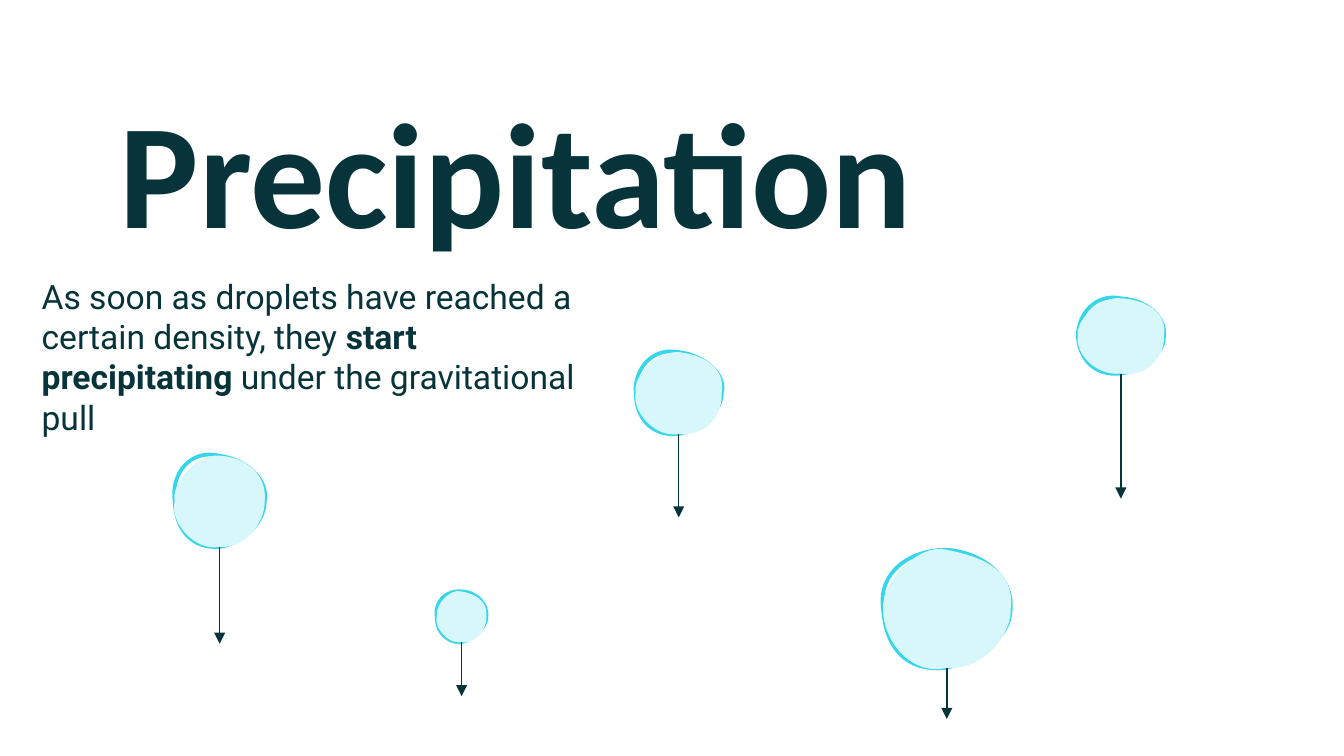
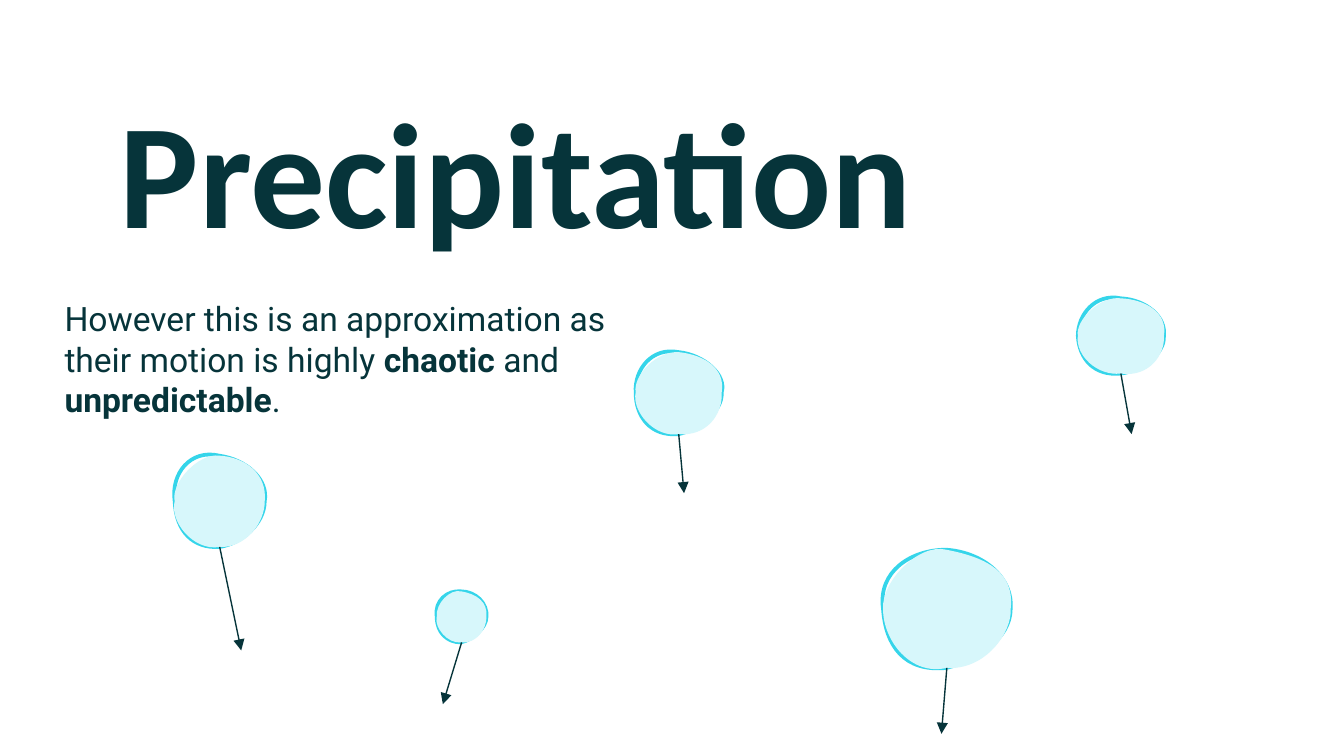
from lxml.etree import SubElement as Sub
from pptx import Presentation
from pptx.dml.color import RGBColor as Rgb
from pptx.enum.shapes import MSO_CONNECTOR as Link
from pptx.enum.text import MSO_ANCHOR as Anchor, MSO_AUTO_SIZE as Fit, PP_ALIGN as Align
from pptx.oxml.ns import qn
from pptx.util import Inches, Pt

HUES = {"ink": "06343A", "rim": "35D5EA", "water": "D7F7FB"}
TITLE = "Precipitation"
HEAD = {"name": "Calibri", "size": Pt(80), "bold": True}
PLAIN = {"name": "Roboto", "size": Pt(18), "bold": False}
STRONG = {**PLAIN, "bold": True}
FRAME = {"word_wrap": True, "auto_size": Fit.NONE, "vertical_anchor": Anchor.TOP,
         **{f"margin_{side}": Inches(0.1) for side in ("left", "right", "top", "bottom")}}
PARA = {"alignment": Align.LEFT, "line_spacing": 1.0, "space_before": Pt(0), "space_after": Pt(0)}

WIDE = Inches(10)
HIGH = WIDE * 9 // 16
GRID = WIDE // 1000
HEAD_BOX = (79, 49, 843, 63)

DROPS = [
    {"box": (130, 339, 67, 68),
     "rim": (-3, 13, 12, -5, 54, 3, 70, 18, 67, 51, 49, 66, 14, 69, 1, 57),
     "water": (-3, 20, 18, -2, 52, 1, 69, 13, 67, 50, 53, 69, 14, 71, -4, 49)},
    {"box": (325, 440, 37, 38),
     "rim": (-2, 7, 8, -1, 29, 0, 38, 9, 37, 27, 27, 36, 8, 38, 0, 31),
     "water": (-1, 9, 10, -2, 30, 2, 38, 8, 37, 28, 30, 39, 8, 39, -2, 27)},
    {"box": (473, 262, 64, 61),
     "rim": (-1, 13, 12, -4, 51, 2, 68, 17, 65, 44, 47, 58, 11, 63, 0, 48),
     "water": (-2, 17, 16, -1, 51, 2, 67, 12, 65, 46, 53, 63, 14, 64, -3, 44)},
    {"box": (657, 409, 95, 88),
     "rim": (-4, 16, 21, 0, 75, 2, 97, 21, 95, 67, 68, 83, 16, 91, 2, 72),
     "water": (-1, 23, 27, -5, 78, 6, 98, 17, 96, 62, 76, 90, 21, 94, 0, 68)},
    {"box": (802, 222, 64, 56),
     "rim": (0, 12, 13, -4, 51, 1, 66, 14, 65, 41, 48, 54, 12, 58, 1, 45),
     "water": (-2, 16, 17, -2, 51, 1, 67, 11, 65, 42, 53, 59, 14, 58, -2, 42)},
]

SLIDES = [
    {"box": (21, 195, 444, 112),
     "text": [("As soon as droplets have reached a certain density, they ", PLAIN),
              ("start precipitating ", STRONG),
              ("under the gravitational pull", PLAIN)],
     "falls": [(0, 72), (0, 40), (0, 62), (0, 38), (0, 93)]},
    {"box": (38, 212, 444, 176),
     "text": [("However this is an approximation as their motion is highly ", PLAIN),
              ("chaotic", STRONG), (" and ", PLAIN),
              ("unpredictable", STRONG), (".", PLAIN)],
     "falls": [(16, 77), (-14, 46), (4, 44), (-4, 49), (8, 45)]},
]


def apply(thing, form):
    for key, val in form.items():
        setattr(thing, key, val)


def hue(name):
    return Rgb.from_string(HUES[name])


def write(holder, box, runs):
    sides = ("left", "top", "width", "height")
    apply(holder, {side: val * GRID for side, val in zip(sides, box)})
    frame = holder.text_frame
    apply(frame, FRAME)
    para = frame.paragraphs[0]
    props = para._p.get_or_add_pPr()
    props.set("marL", "0")
    props.set("indent", "0")
    Sub(props, qn("a:buNone"))
    apply(para, PARA)
    for text, form in runs:
        run = para.add_run()
        run.text = text
        apply(run.font, form)
        run.font.color.rgb = hue("ink")


def point(node, x, y):
    Sub(node, qn("a:pt"), x=str(x), y=str(y))


def curve(paths, size, stops, bends, off):
    path = Sub(paths, qn("a:path"), w=str(size[0]), h=str(size[1]), **off)
    point(Sub(path, qn("a:moveTo")), *stops[0])
    for i, stop in enumerate(stops[1:] + stops[:1]):
        bend = Sub(path, qn("a:cubicBezTo"))
        point(bend, *bends[4 * i:4 * i + 2])
        point(bend, *bends[4 * i + 2:4 * i + 4])
        point(bend, *stop)
    Sub(path, qn("a:close"))


def add_drop(slide, drop):
    x, y, w, h = drop["box"]
    stops = [(0, h // 2), (w // 2, 0), (w, h // 2), (w // 2, h)]
    outline = slide.shapes.build_freeform(*stops[0], scale=GRID)
    outline.add_line_segments(stops[1:], close=True)
    shape = outline.convert_to_shape(x * GRID, y * GRID)
    paths = shape._element.spPr.find(".//" + qn("a:pathLst"))
    for path in list(paths):
        paths.remove(path)
    curve(paths, (w, h), stops, drop["rim"], {"fill": "none"})
    curve(paths, (w, h), stops, drop["water"], {"stroke": "0"})
    shape.shadow.inherit = False
    shape.fill.solid()
    shape.fill.fore_color.rgb = hue("water")
    shape.line.color.rgb = hue("rim")
    shape.line.width = Pt(2)


def add_fall(slide, drop, fall):
    x, y, w, h = drop["box"]
    start = (x + w / 2, y + h)
    ends = (*start, start[0] + fall[0], start[1] + fall[1])
    arrow = slide.shapes.add_connector(Link.STRAIGHT, *(int(end * GRID) for end in ends))
    arrow.line.color.rgb = hue("ink")
    arrow.line.width = Pt(0.75)
    Sub(arrow.line._get_or_add_ln(), qn("a:tailEnd"), type="triangle")
    Sub(arrow._element.spPr, qn("a:effectLst"))


def main():
    deck = Presentation()
    deck.slide_width, deck.slide_height = WIDE, HIGH
    for page in SLIDES:
        slide = deck.slides.add_slide(deck.slide_layouts[1])
        write(slide.shapes.title, HEAD_BOX, [(TITLE, HEAD)])
        write(slide.placeholders[1], page["box"], page["text"])
        for drop in DROPS:
            add_drop(slide, drop)
        for drop, fall in zip(DROPS, page["falls"]):
            add_fall(slide, drop, fall)
    deck.save("out.pptx")


if __name__ == "__main__":
    main()
